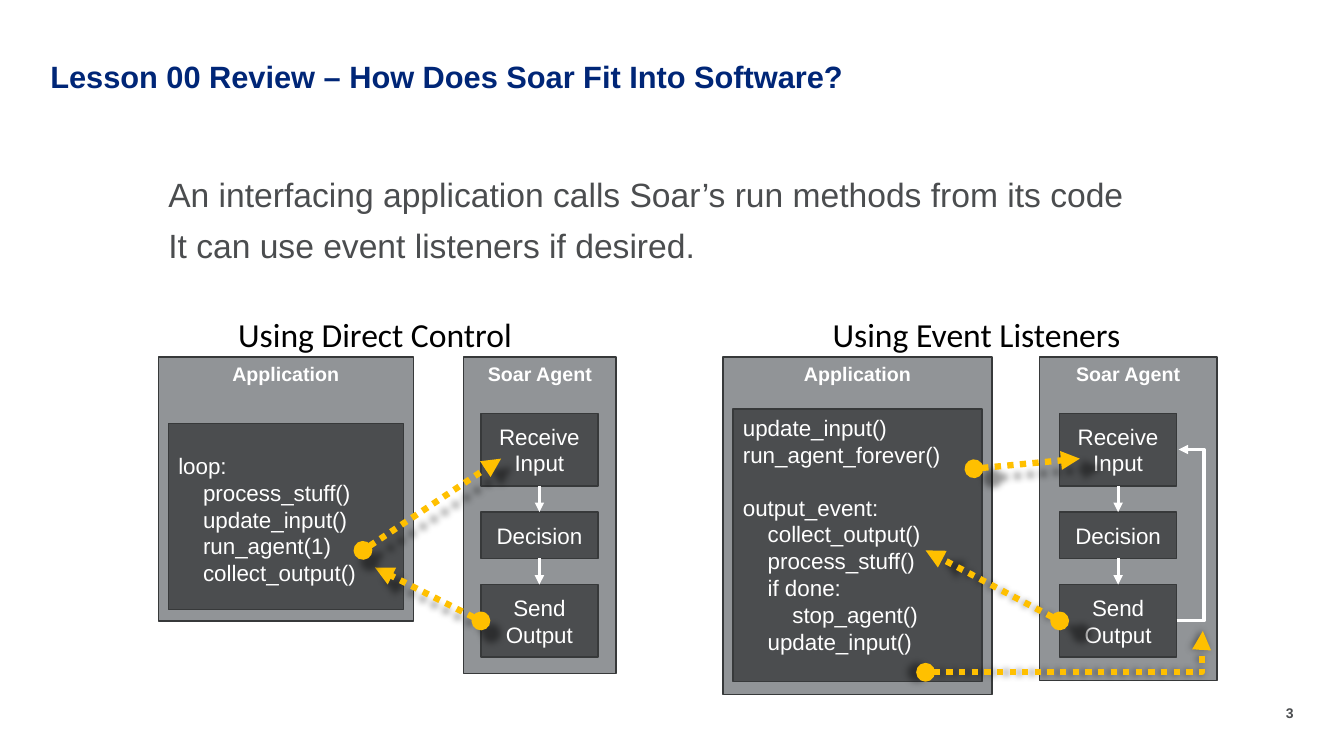
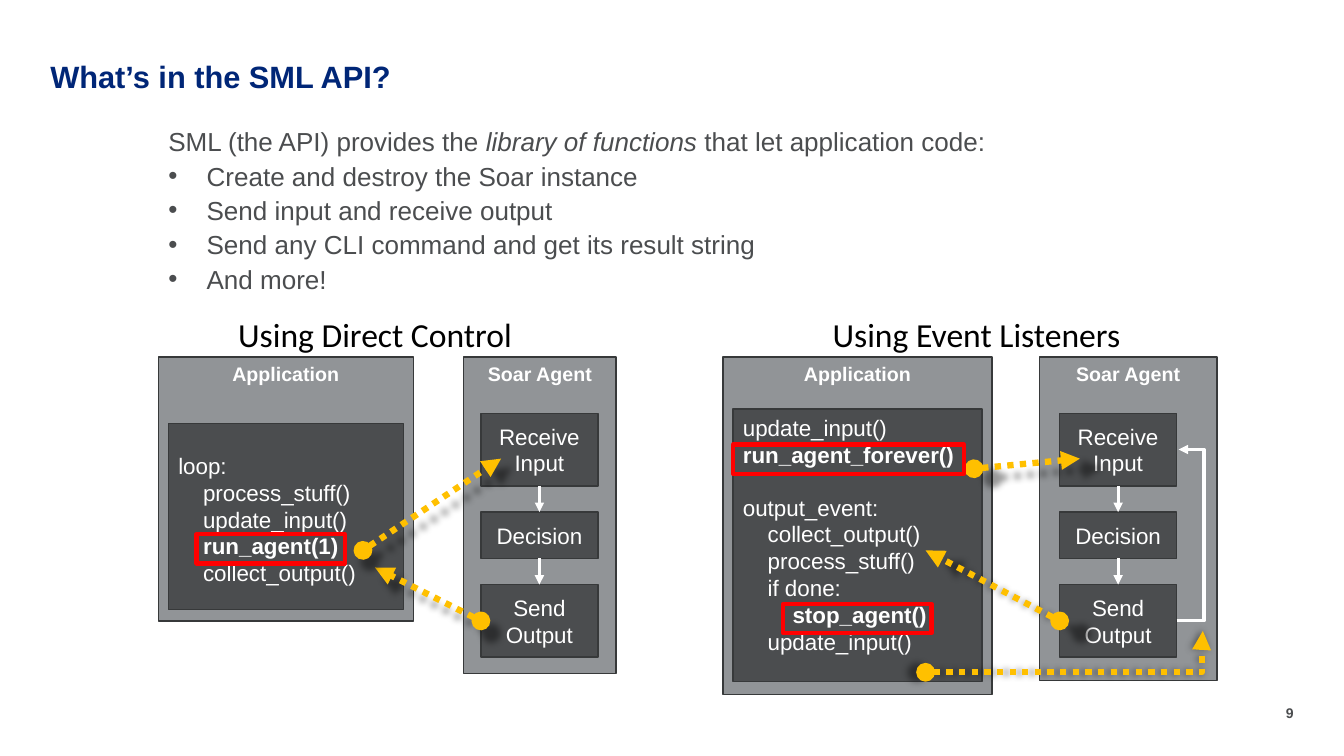
from dataclasses import dataclass

from lxml import etree
from pptx import Presentation
from pptx import util as u
from pptx.dml.color import RGBColor
from pptx.enum import dml, shapes, text as tx
from pptx.oxml.ns import qn

SCALE = 9144
LEFT, MID, RIGHT = tx.PP_ALIGN.LEFT, tx.PP_ALIGN.CENTER, tx.PP_ALIGN.RIGHT
TOP, CENTER = tx.MSO_ANCHOR.TOP, tx.MSO_ANCHOR.MIDDLE


@dataclass(frozen=True)
class Theme:
    navy: str = "002677"
    dark: str = "4B4D4F"
    gray: str = "919497"
    edge: str = "37393A"
    white: str = "FFFFFF"
    black: str = "000000"
    gold: str = "FFC000"
    red: str = "FF0000"
    font: str = "Arial"
    label: str = "Calibri"
    title: float = 22
    large: float = 24
    list: float = 18.6
    code: float = 16
    head: float = 14
    foot: float = 10


T = Theme()

DIRECT = ["loop:", "    process_stuff()", "    update_input()",
          "    run_agent(1)", "    collect_output()"]
EVENTS = ["update_input()", "run_agent_forever()", "output_event:",
          "    collect_output()", "    process_stuff()", "    if done:",
          "        stop_agent()", "    update_input()"]
CALLS = ("run_agent(1)", "run_agent_forever()", "stop_agent()")


def px(n):
    return u.Emu(n * SCALE)


def rgb(code):
    return RGBColor.from_string(code)


def node(parent, tag, **attrs):
    item = etree.SubElement(parent, qn(tag))
    for key, value in attrs.items():
        item.set(key, str(value))
    return item


def add_bullet(para, indent):
    props = para._p.get_or_add_pPr()
    props.set("marL", str(px(indent)))
    props.set("indent", str(-px(indent)))
    node(props, "a:buFont", typeface=T.font)
    node(props, "a:buChar", char="•")


def write(shape, lines, size=T.code, color=T.white, font=T.font, bold=False,
          align=LEFT, anchor=TOP, inset=(0, 0, 0, 0), pitch=None, before=0,
          gaps=None, strong=(), slant=(), bullets=()):
    frame = shape.text_frame
    frame.word_wrap = True
    frame.vertical_anchor = anchor
    (frame.margin_left, frame.margin_top,
     frame.margin_right, frame.margin_bottom) = map(px, inset)
    for i, line in enumerate(lines):
        para = frame.paragraphs[0] if i == 0 else frame.add_paragraph()
        para.alignment = align
        if pitch:
            para.line_spacing = pitch
        para.space_before = u.Pt((gaps or {}).get(line, before) if i else 0)
        if i in bullets:
            add_bullet(para, 38)
        mark = next((m for m in (*strong, *slant) if m in line), None)
        for part in line.partition(mark) if mark else [line]:
            if part:
                run = para.add_run()
                run.text = part
                run.font.name = font
                run.font.size = u.Pt(size)
                run.font.color.rgb = rgb(color)
                run.font.bold = bold or part in strong
                run.font.italic = part in slant


def label(slide, box, lines, **style):
    write(slide.shapes.add_textbox(*map(px, box)), lines, **style)


def rect(slide, box, fill=None, edge=T.edge, width=1):
    shape = slide.shapes.add_shape(shapes.MSO_SHAPE.RECTANGLE, *map(px, box))
    shape.shadow.inherit = False
    if fill:
        shape.fill.solid()
        shape.fill.fore_color.rgb = rgb(fill)
    else:
        shape.fill.background()
    shape.line.color.rgb = rgb(edge)
    shape.line.width = u.Pt(width)
    return shape


def panel(slide, box, name):
    write(rect(slide, box, T.gray), [name], size=T.head, bold=True,
          align=MID, inset=(10, 5, 10, 5))


def arrow(slide, start, end, via=None, event=False, source=None, target=None):
    kind = shapes.MSO_CONNECTOR.ELBOW if via else shapes.MSO_CONNECTOR.STRAIGHT
    link = slide.shapes.add_connector(kind, *map(px, (*start, *end)))
    if source:
        link.begin_connect(*source)
    if target:
        link.end_connect(*target)
    link.line.color.rgb = rgb(T.gold if event else T.white)
    link.line.width = u.Pt(4.5 if event else 2.25)
    if event:
        link.line.dash_style = dml.MSO_LINE.ROUND_DOT
    stroke = link.line._get_or_add_ln()
    if event:
        node(stroke, "a:headEnd", type="oval")
    node(stroke, "a:tailEnd", type="triangle")
    props = link._element.spPr
    if via:
        ratio = round((via - start[0]) / (end[0] - start[0]) * 100000)
        guides = props.find(qn("a:prstGeom")).find(qn("a:avLst"))
        node(guides, "a:gd", name="adj1", fmla=f"val {ratio}")
    effects = node(props, "a:effectLst")
    if event:
        shade = node(effects, "a:outerShdw", blurRad=u.Pt(5), sx=102000,
                     sy=102000, algn="ctr", rotWithShape=0)
        node(node(shade, "a:srgbClr", val=T.black), "a:alpha", val=40000)


def agent(slide, box, left):
    panel(slide, box, "Soar Agent")
    steps = []
    for name, top, height in (("Receive Input", 410, 72),
                              ("Decision", 508, 46),
                              ("Send Output", 580, 72)):
        step = rect(slide, (left, top, 116, height), T.dark)
        write(step, [name], align=MID, anchor=CENTER)
        steps.append(step)
    for upper, lower in zip(steps, steps[1:]):
        arrow(slide, (0, 0), (0, 0), source=(upper, 2), target=(lower, 0))
    return steps[-1]


def code(slide, box, lines, **style):
    write(rect(slide, box, T.dark), lines, inset=(10, 5, 10, 0), **style)


def direct(slide, strong):
    label(slide, (218, 307, 308, 60), ["Using Direct Control"], size=T.large,
          color=T.black, font=T.label, align=MID, inset=(10, 5, 10, 5))
    panel(slide, (157, 354, 253, 262), "Application")
    code(slide, (167, 420, 233, 185), DIRECT, anchor=CENTER, strong=strong)
    send = agent(slide, (460, 354, 151, 314), 477)
    arrow(slide, (477, 616), (372, 563), event=True, source=(send, 1))
    arrow(slide, (360, 546), (497, 455), event=True)


def events(slide, strong):
    label(slide, (807, 307, 323, 60), ["Using Event Listeners"], size=T.large,
          color=T.black, font=T.label, align=MID, inset=(10, 5, 10, 5))
    panel(slide, (717, 354, 267, 335), "Application")
    code(slide, (727, 406, 247, 270), EVENTS, strong=strong,
         gaps={"output_event:": 18.4})
    send = agent(slide, (1031, 354, 176, 321), 1051)
    arrow(slide, (1167, 616), (1169, 446), via=1194)
    arrow(slide, (966, 465), (1071, 455), event=True)
    arrow(slide, (1051, 616), (918, 546), event=True, source=(send, 1))
    arrow(slide, (918, 667), (1193, 626), via=1192, event=True)


def page(deck, title, number, strong=()):
    slide = deck.slides.add_slide(deck.slide_layouts[6])
    label(slide, (50, 61, 1050, 33), [title], size=T.title, color=T.navy,
          bold=True, pitch=0.9)
    label(slide, (1253, 699, 30, 17), [number], size=T.foot, color=T.dark,
          bold=True, align=RIGHT)
    direct(slide, strong)
    events(slide, strong)
    return slide


def main():
    deck = Presentation()
    deck.slide_width, deck.slide_height = px(1333), px(750)

    review = page(deck, "Lesson 00 Review – How Does Soar Fit Into Software?",
                  "3")
    label(review, (167, 173, 1050, 120),
          ["An interfacing application calls Soar’s run methods from its code",
           "It can use event listeners if desired."],
          size=T.large, color=T.dark, before=7)

    library = page(deck, "What’s in the SML API?", "9", strong=CALLS)
    label(library, (167, 130, 1050, 163),
          ["SML (the API) provides the library of functions"
           " that let application code:",
           "Create and destroy the Soar instance",
           "Send input and receive output",
           "Send any CLI command and get its result string",
           "And more!"],
          size=T.list, color=T.dark, pitch=0.83, before=6,
          slant=("library of functions",), bullets=range(1, 5))
    for left, top, width in ((195, 530, 147), (727, 441, 229),
                             (777, 599, 147)):
        rect(library, (left, top, width, 29), edge=T.red, width=3)

    deck.save("out.pptx")


if __name__ == "__main__":
    main()
